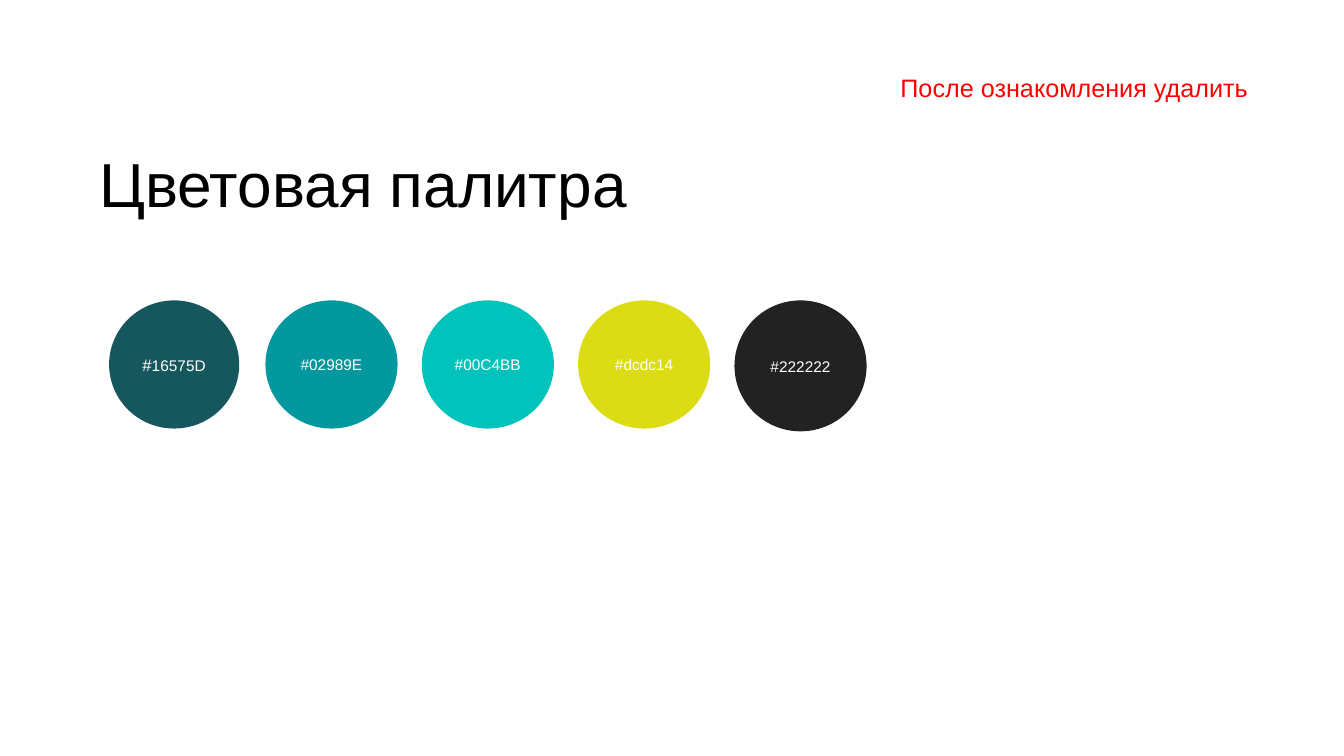
from pptx import Presentation
from pptx.dml.color import RGBColor
from pptx.enum.shapes import MSO_SHAPE
from pptx.enum.text import MSO_ANCHOR, PP_ALIGN
from pptx.util import Cm, Pt

TITLE = "Цветовая палитра"
NOTE = "После ознакомления удалить"

# label runs as (text, size name), fill, width and height in cm
SWATCHES = [
    ([("#", "mark"), ("16575D", "code")], "16575D", 3.28, 3.23),
    ([("#02989E", "code")], "02989E", 3.33, 3.23),
    ([("#00C4BB", "code")], "00C4BB", 3.33, 3.23),
    ([("#dcdc14", "code")], "DCDC14", 3.33, 3.23),
    ([("#222222", "code")], "222222", 3.33, 3.3),
]

THEME = {
    "font": "Arial",
    "ink": "000000",
    "alert": "FF0000",
    "label": "FFFFFF",
    "size": {"title": 44.4, "note": 18, "mark": 12, "code": 11},
}

LEFT, TOP, PITCH = 2.75, 7.57, 3.94


def apply(item, form):
    for name, value in form.items():
        setattr(item, name, value)


def write(shape, runs, color, frame, para):
    """Fill the shape with one paragraph of (text, size name) runs."""
    apply(shape.text_frame, frame)
    line = shape.text_frame.paragraphs[0]
    apply(line, para)
    for text, size in runs:
        run = line.add_run()
        run.text = text
        apply(run.font, {"name": THEME["font"], "size": Pt(THEME["size"][size])})
        run.font.color.rgb = RGBColor.from_string(THEME[color])


def add_title(slide):
    box = slide.shapes.add_textbox(Cm(2.36), Cm(3.89), Cm(27.89), Cm(1.73))
    write(box, [(TITLE, "title")], "ink",
          {"word_wrap": True, "vertical_anchor": MSO_ANCHOR.BOTTOM,
           "margin_left": Cm(0.14)},
          {"line_spacing": 0.7, "space_before": Pt(12)})


def add_swatch(slide, index, runs, fill, width, height):
    dot = slide.shapes.add_shape(
        MSO_SHAPE.OVAL, Cm(LEFT + index * PITCH), Cm(TOP), Cm(width), Cm(height))
    dot.shadow.inherit = False
    dot.fill.solid()
    dot.fill.fore_color.rgb = RGBColor.from_string(fill)
    dot.line.fill.background()
    write(dot, runs, "label",
          {"word_wrap": True, "vertical_anchor": MSO_ANCHOR.MIDDLE},
          {"alignment": PP_ALIGN.CENTER})


def add_note(slide):
    box = slide.shapes.add_textbox(Cm(20.9), Cm(1.7), Cm(10.8), Cm(1.02))
    write(box, [(NOTE, "note")], "alert", {"word_wrap": True},
          {"alignment": PP_ALIGN.RIGHT, "space_after": Pt(10.6)})


def main():
    deck = Presentation()
    apply(deck, {"slide_width": Cm(33.87), "slide_height": Cm(19.05)})
    slide = deck.slides.add_slide(deck.slide_layouts[6])
    add_title(slide)
    for index, swatch in enumerate(SWATCHES):
        add_swatch(slide, index, *swatch)
    add_note(slide)
    deck.save("out.pptx")


if __name__ == "__main__":
    main()
